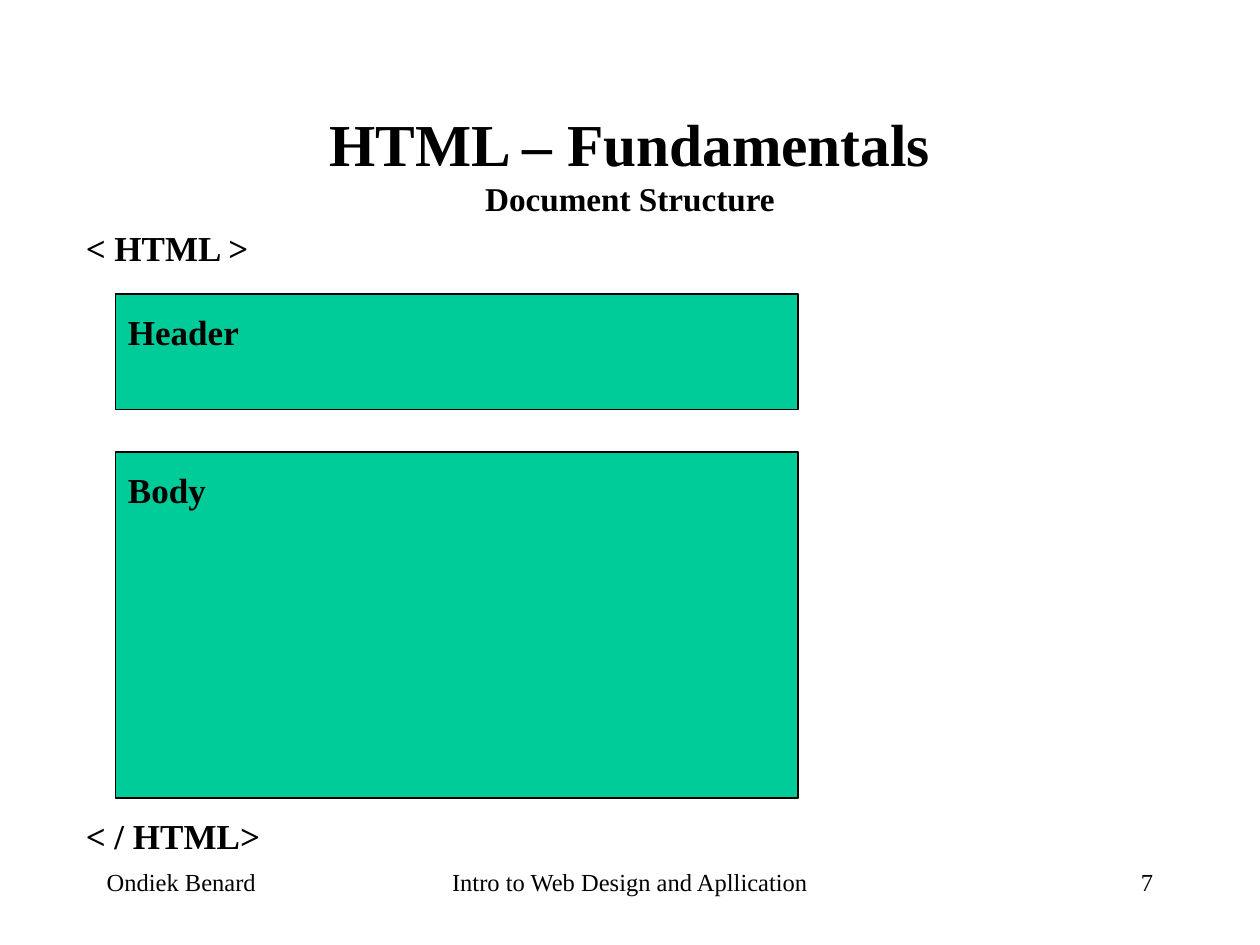
from pptx import Presentation
from pptx.dml.color import RGBColor
from pptx.enum.shapes import MSO_SHAPE as Shape
from pptx.enum.text import MSO_ANCHOR as Anchor, MSO_AUTO_SIZE as Fit, PP_ALIGN as Align
from pptx.util import Cm, Pt

FONT = "Times New Roman"
INK, GREEN = "000000", "00CC99"
WIDE, HIGH = 25.4, 19.05
EDGE = 1.9
LABEL = 1.12


def paint(text):
    return RGBColor.from_string(text)


def write(slide, box, *lines, bold=False, align=Align.LEFT, anchor=Anchor.TOP,
          before=0, fit=Fit.NONE):
    """Put (text, size) lines in one paragraph, split by line breaks."""
    frame = slide.shapes.add_textbox(*map(Cm, box)).text_frame
    frame.word_wrap = True
    frame.auto_size = fit
    frame.vertical_anchor = anchor
    para = frame.paragraphs[0]
    para.alignment = align
    para.space_before = Pt(before)
    for i, (text, size) in enumerate(lines):
        if i:
            para.add_line_break()
        run = para.add_run()
        run.text = text
        font = run.font
        font.name, font.size, font.bold = FONT, Pt(size), bold
        font.color.rgb = paint(INK)


def label(slide, left, top, wide, text):
    write(slide, (left, top, wide, LABEL), (text, 20), bold=True,
          before=12.5, fit=Fit.SHAPE_TO_FIT_TEXT)


def title(slide, box):
    write(slide, box, ("HTML – Fundamentals", 34), ("Document Structure", 19),
          bold=True, align=Align.CENTER, anchor=Anchor.MIDDLE)


def block(slide, box, text):
    left, top, _, _ = box
    rect = slide.shapes.add_shape(Shape.RECTANGLE, *map(Cm, box))
    rect.shadow.inherit = False
    rect.fill.solid()
    rect.fill.fore_color.rgb = paint(GREEN)
    rect.line.color.rgb = paint(INK)
    rect.line.width = Pt(0.75)
    label(slide, left, top + 0.21, 4.66, text)


def page(slide, box):
    """Show the HTML document: its two tags around the header and body."""
    left, top, wide, high = box
    inset = 0.85
    label(slide, left, top, 4.87, "< HTML >")
    for text, drop, tall in (("Header", 1.48, 2.33), ("Body", 4.66, 6.98)):
        block(slide, (left + inset, top + drop, wide - inset, tall), text)
    label(slide, left, top + high - LABEL, 4.87, "< / HTML>")


def footer(slide, box):
    left, top, wide, high = box
    side, mid = 5.29, 8.04
    parts = (
        ("Ondiek Benard", left, side, Align.LEFT),
        ("Intro to Web Design and Apllication", left + (wide - mid) / 2, mid, Align.CENTER),
        ("7", left + wide - side, side, Align.RIGHT),
    )
    for text, start, span, align in parts:
        write(slide, (start, top, span, high), (text, 14), align=align)


def main():
    deck = Presentation()
    deck.slide_width, deck.slide_height = Cm(WIDE), Cm(HIGH)
    slide = deck.slides.add_slide(deck.slide_layouts[6])
    inner = WIDE - 2 * EDGE
    title(slide, (EDGE, 1.69, inner, 3.18))
    page(slide, (1.48, 4.45, 14.61, 12.97))
    footer(slide, (EDGE, 17.36, inner, 1.27))
    deck.save("out.pptx")


if __name__ == "__main__":
    main()
